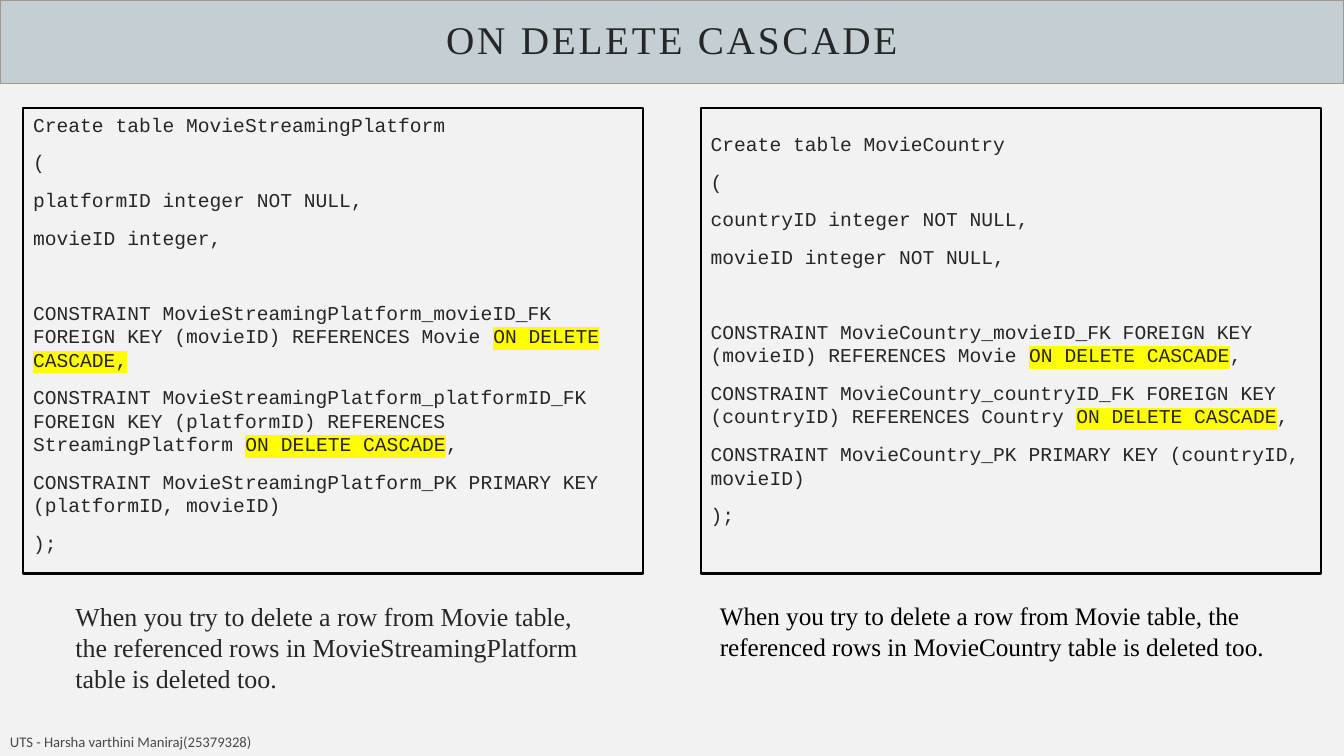
from lxml import etree
from pptx import Presentation
from pptx import util as u
from pptx.dml.color import RGBColor
from pptx.enum import shapes, text
from pptx.oxml.ns import qn

INK = "262626"
SERIF = "Times New Roman"
MARK = "|"  # encloses highlighted words


def color(value):
    return RGBColor.from_string(value)


def write(shape, lines, font=SERIF, size=18, ink=INK, align=text.PP_ALIGN.LEFT,
          anchor=text.MSO_ANCHOR.TOP, top_inset=0.05, leading=None, gaps=None, tracking=0):
    """Fill a shape with paragraphs; gaps gives the space before each one."""
    frame = shape.text_frame
    frame.word_wrap = True
    frame.vertical_anchor = anchor
    frame.margin_top = u.Inches(top_inset)
    for index, line in enumerate(lines):
        paragraph = frame.add_paragraph() if index else frame.paragraphs[0]
        paragraph.alignment = align
        paragraph.line_spacing = leading or u.Pt(size * 1.2)
        paragraph.space_before = u.Pt(gaps[index] if gaps else 0)
        for part, words in enumerate(line.split(MARK)):
            if not words:
                continue
            run = paragraph.add_run()
            run.text = words
            run.font.name = font
            run.font.size = u.Pt(size)
            run.font.color.rgb = color(ink)
            properties = run.font._element
            if tracking:
                properties.set("spc", str(tracking * 100))
            if part % 2:
                highlight = etree.Element(qn("a:highlight"))
                etree.SubElement(highlight, qn("a:srgbClr"), val="FFFF00")
                properties.find(qn("a:latin")).addprevious(highlight)


presentation = Presentation()
presentation.slide_width = u.Inches(13.33)
presentation.slide_height = u.Inches(7.5)
slide = presentation.slides.add_slide(presentation.slide_layouts[6])
slide.background.fill.solid()
slide.background.fill.fore_color.rgb = color("F2F2F2")

# Title band
band = slide.shapes.add_shape(shapes.MSO_SHAPE.RECTANGLE, 0, 0,
                              presentation.slide_width, u.Inches(0.83))
band.shadow.inherit = False
band.fill.solid()
band.fill.fore_color.rgb = color("C3CFD3")
band.line.color.rgb = color("A0988C")
band.line.width = u.Pt(1)
write(band, ["ON DELETE CASCADE"], size=28, align=text.PP_ALIGN.CENTER,
      anchor=text.MSO_ANCHOR.MIDDLE, leading=0.9, tracking=2)

# Code panels: left edge, top inset, statement
panels = [
    (0.23, 0.05, [
        "Create table MovieStreamingPlatform",
        "(",
        "platformID integer NOT NULL,",
        "movieID integer,",
        "CONSTRAINT MovieStreamingPlatform_movieID_FK FOREIGN KEY (movieID) "
        "REFERENCES Movie |ON DELETE CASCADE,|",
        "CONSTRAINT MovieStreamingPlatform_platformID_FK FOREIGN KEY (platformID) "
        "REFERENCES StreamingPlatform |ON DELETE CASCADE|,",
        "CONSTRAINT MovieStreamingPlatform_PK PRIMARY KEY (platformID, movieID)",
        ");",
    ]),
    (6.95, 0.24, [
        "Create table MovieCountry",
        "(",
        "countryID integer NOT NULL,",
        "movieID integer NOT NULL,",
        "CONSTRAINT MovieCountry_movieID_FK FOREIGN KEY (movieID) "
        "REFERENCES Movie |ON DELETE CASCADE|,",
        "CONSTRAINT MovieCountry_countryID_FK FOREIGN KEY (countryID) "
        "REFERENCES Country |ON DELETE CASCADE|,",
        "CONSTRAINT MovieCountry_PK PRIMARY KEY (countryID, movieID)",
        ");",
    ]),
]
# Columns come first, then a wide gap before the constraints
code_gaps = [0, 10, 10, 10, 36.8, 10, 10, 10]
for left, top_inset, statement in panels:
    panel = slide.shapes.add_shape(shapes.MSO_SHAPE.RECTANGLE, u.Inches(left), u.Inches(1.07),
                                   u.Inches(6.15), u.Inches(4.62))
    panel.shadow.inherit = False
    panel.fill.background()
    panel.line.color.rgb = color("000000")
    panel.line.width = u.Pt(1.5)
    write(panel, statement, font="Courier New", size=14, top_inset=top_inset, gaps=code_gaps)

# Captions and footer: left, top, width, height, wording, format
notes = [
    (0.65, 5.91, 5.32, 1.05,
     "When you try to delete a row from Movie table, the referenced rows in "
     "MovieStreamingPlatform table is deleted too.", dict(size=18.5)),
    (7.04, 5.91, 6.15, 0.71,
     "When you try to delete a row from Movie table, the referenced rows in "
     "MovieCountry table is deleted too.", dict(ink="000000")),
    (0, 7.21, 6.45, 0.29, "UTS - Harsha varthini Maniraj(25379328)",
     dict(font="Calibri", size=10.5, ink="494949", anchor=text.MSO_ANCHOR.MIDDLE)),
]
for left, top, width, height, wording, style in notes:
    box = slide.shapes.add_textbox(u.Inches(left), u.Inches(top), u.Inches(width), u.Inches(height))
    write(box, [wording], **style)

presentation.save("out.pptx")
